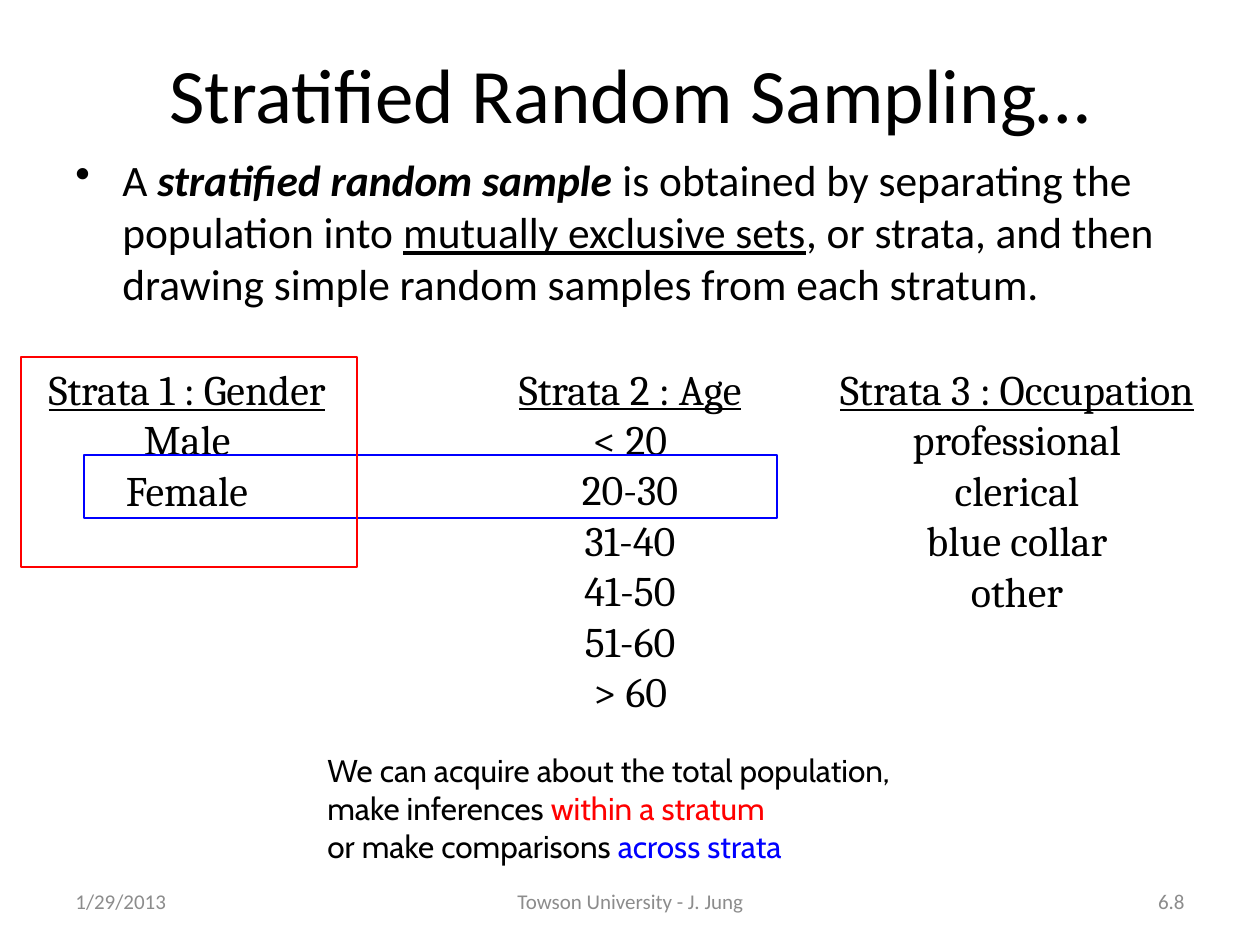
import pptx
import pptx.dml.color
import pptx.enum.shapes
import pptx.enum.text
import pptx.oxml
import pptx.util

PX_PER_INCH = 126
COLORS = {"black": "000000", "grey": "8C8C8C", "red": "FF0000", "blue": "0000FF"}
ALIGN = pptx.enum.text.PP_ALIGN
ANCHOR = pptx.enum.text.MSO_ANCHOR

STRATA = [
    (31, 312, 164, ["Strata 1 : Gender", "Male", "Female"]),
    (501, 258, 365, ["Strata 2 : Age", "< 20", "20-30", "31-40", "41-50", "51-60", "> 60"]),
    (827, 380, 265, ["Strata 3 : Occupation", "professional", "clerical", "blue collar", "other"]),
]
DEFINITION = [
    ("A ", {}),
    ("stratified random sample", {"bold": True, "italic": True}),
    (" is obtained by separating the population into ", {}),
    ("mutually exclusive sets", {"underline": True}),
    (", or strata, and then drawing simple random samples from each stratum.", {}),
]
USES = [
    [("We can acquire about the total population,", "black")],
    [("make inferences ", "black"), ("within a stratum", "red")],
    [("or make comparisons ", "black"), ("across strata", "blue")],
]
FOOTERS = [
    (63, 294, "1/29/2013", ALIGN.LEFT),
    (431, 399, "Towson University - J. Jung", ALIGN.CENTER),
    (903, 294, "6.8", ALIGN.RIGHT),
]


def px(length):
    """Turn pixels into EMU."""
    return pptx.util.Emu(round(length * 914400 / PX_PER_INCH))


def rgb(color):
    """Look up a named colour."""
    return pptx.dml.color.RGBColor.from_string(COLORS[color])


def style(paragraph, font_name, size, color="black", align=ALIGN.LEFT):
    """Set the alignment and font of a paragraph."""
    paragraph.alignment = align
    paragraph.font.name = font_name
    paragraph.font.size = pptx.util.Pt(size)
    paragraph.font.color.rgb = rgb(color)


def add_text_frame(slide, left, top, width, height, anchor=ANCHOR.TOP, wrap=True):
    """Add a text box that wraps, or else fits its text."""
    frame = slide.shapes.add_textbox(px(left), px(top), px(width), px(height)).text_frame
    frame.word_wrap = wrap
    frame.vertical_anchor = anchor
    if not wrap:
        frame.auto_size = pptx.enum.text.MSO_AUTO_SIZE.SHAPE_TO_FIT_TEXT
    return frame


def add_title(slide, text):
    """Place and fill the title placeholder."""
    title = slide.shapes.title
    title.left, title.top, title.width, title.height = px(63), px(38), px(1134), px(110)
    title.text_frame.text = text
    title.text_frame.vertical_anchor = ANCHOR.MIDDLE
    style(title.text_frame.paragraphs[0], "Calibri", 44, align=ALIGN.CENTER)


def add_definition(slide):
    """Add the bulleted definition with its emphasised terms."""
    paragraph = add_text_frame(slide, 63, 147, 1134, 189).paragraphs[0]
    properties = paragraph._p.get_or_add_pPr()
    properties.set("marL", str(px(47)))
    properties.set("indent", str(px(-47)))
    bullet = pptx.oxml.parse_xml(
        '<a:buChar xmlns:a="http://schemas.openxmlformats.org/drawingml/2006/main" char="•"/>'
    )
    properties.append(bullet)
    style(paragraph, "Calibri", 24.8)
    for text, emphasis in DEFINITION:
        run = paragraph.add_run()
        run.text = text
        for attribute, value in emphasis.items():
            setattr(run.font, attribute, value)


def add_stratum(slide, left, width, height, lines):
    """Add a centred column with an underlined heading."""
    frame = add_text_frame(slide, left, 357, width, height, ANCHOR.MIDDLE, wrap=False)
    frame.text = "\n".join(lines)
    for paragraph in frame.paragraphs:
        style(paragraph, "Cambria", 24, align=ALIGN.CENTER)
    frame.paragraphs[0].font.underline = True


def add_uses(slide):
    """Add the closing lines with their coloured phrases."""
    frame = add_text_frame(slide, 315, 745, 630, 127, wrap=False)
    for index, phrases in enumerate(USES):
        paragraph = frame.add_paragraph() if index else frame.paragraphs[0]
        style(paragraph, "Cabin", 18)
        for text, color in phrases:
            run = paragraph.add_run()
            run.text = text
            run.font.color.rgb = rgb(color)


def add_outline(slide, left, top, width, height, color):
    """Add an unfilled rectangle around a group of values."""
    outline = slide.shapes.add_shape(
        pptx.enum.shapes.MSO_SHAPE.RECTANGLE, px(left), px(top), px(width), px(height)
    )
    outline.shadow.inherit = False
    outline.fill.background()
    outline.line.color.rgb = rgb(color)
    outline.line.width = pptx.util.Pt(1.5)


def add_footer(slide, left, width, text, align):
    """Add one grey footer entry."""
    frame = add_text_frame(slide, left, 876, width, 50, ANCHOR.MIDDLE)
    frame.text = text
    style(frame.paragraphs[0], "Calibri", 12, "grey", align)


def main():
    """Build the slide and save it."""
    presentation = pptx.Presentation()
    presentation.slide_width, presentation.slide_height = px(1260), px(945)
    slide = presentation.slides.add_slide(presentation.slide_layouts[5])
    add_title(slide, "Stratified Random Sampling…")
    add_definition(slide)
    for footer in FOOTERS:
        add_footer(slide, *footer)
    for stratum in STRATA:
        add_stratum(slide, *stratum)
    add_outline(slide, 84, 455, 693, 63, "blue")
    add_uses(slide)
    add_outline(slide, 21, 357, 336, 210, "red")
    presentation.save("out.pptx")


if __name__ == "__main__":
    main()
